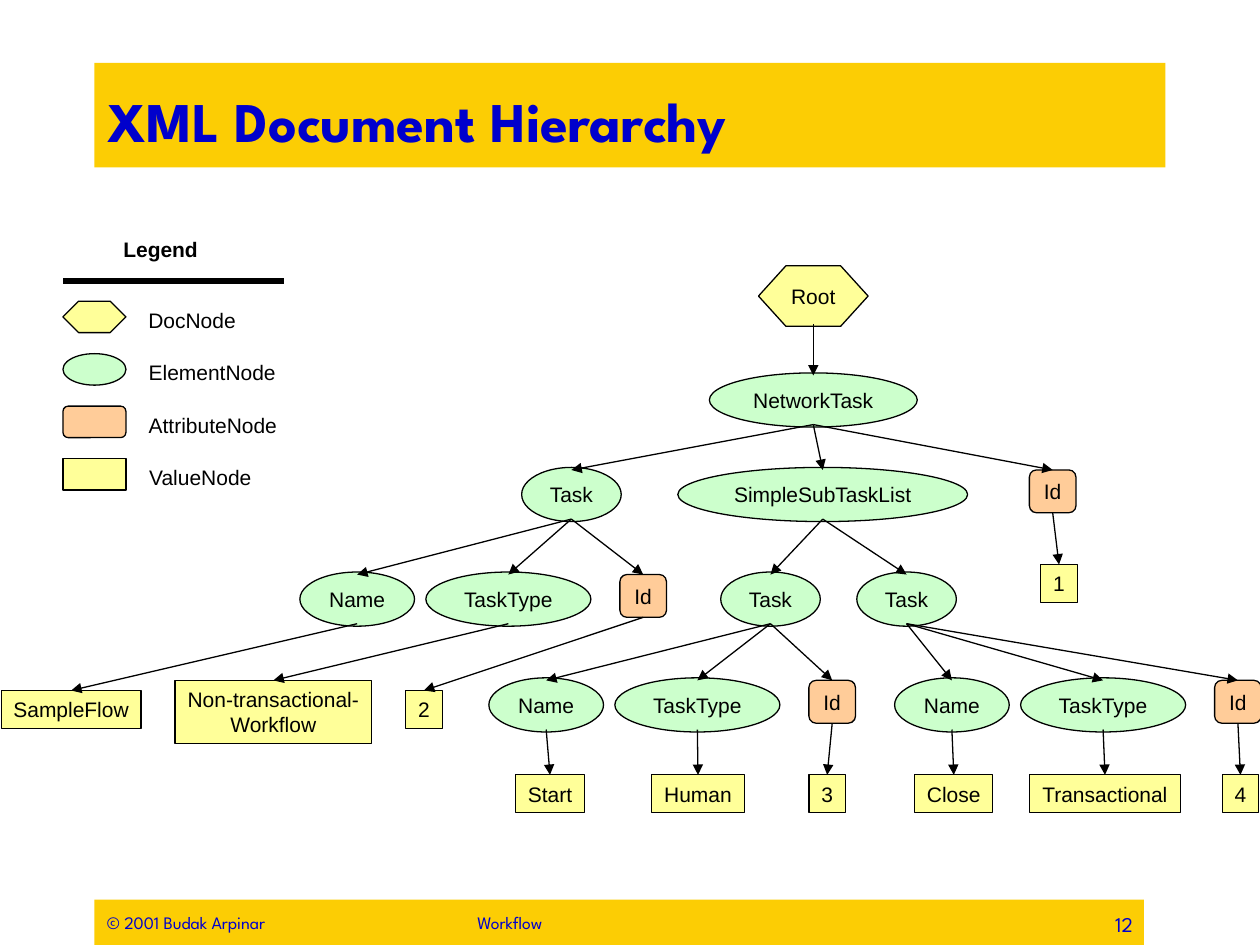
from lxml import etree
from pptx import Presentation
from pptx.dml.color import RGBColor
from pptx.enum import shapes as es, text as et
from pptx.oxml.ns import qn
from pptx.util import Inches, Pt

GOLD = RGBColor(0xFC, 0xCD, 0x04)
BLUE = RGBColor(0x00, 0x00, 0xCC)
BLACK = RGBColor(0x00, 0x00, 0x00)
YELLOW = RGBColor(0xFF, 0xFF, 0x99)
GREEN = RGBColor(0xCC, 0xFF, 0xCC)
PEACH = RGBColor(0xFF, 0xCC, 0x99)
HEAD, BODY = "League Spartan", "Arial"
LEFT, MID, RIGHT = et.PP_ALIGN.LEFT, et.PP_ALIGN.CENTER, et.PP_ALIGN.RIGHT
FORM = es.MSO_SHAPE

deck = Presentation()
deck.slide_width, deck.slide_height = Inches(10), Inches(7.5)
slide = deck.slides.add_slide(deck.slide_layouts[5])
items = slide.shapes


def write(shape, words, size=12, face=BODY, color=BLACK, align=MID,
          bold=False, wrap=False, anchor=et.MSO_ANCHOR.MIDDLE):
    frame = shape.text_frame
    frame.text = words
    frame.word_wrap = wrap
    frame.auto_size = et.MSO_AUTO_SIZE.NONE
    frame.vertical_anchor = anchor
    for para in frame.paragraphs:
        para.alignment = align
        para.font.size, para.font.name = Pt(size), face
        para.font.bold, para.font.color.rgb = bold, color


def draw(form, x, y, w, h, fill, edge=True):
    shape = items.add_shape(form, Inches(x), Inches(y), Inches(w), Inches(h))
    shape.shadow.inherit = False
    shape.fill.solid()
    shape.fill.fore_color.rgb = fill
    if edge:
        shape.line.color.rgb, shape.line.width = BLACK, Pt(0.75)
    else:
        shape.line.fill.background()
    return shape


foot = draw(FORM.RECTANGLE, 0.75, 7.14, 8.33, 0.36, GOLD, False)
write(foot, "© 2001 Budak Arpinar\tWorkflow", 10, HEAD, BLUE, LEFT, wrap=True)
props = foot.text_frame.paragraphs[0]._p.get_or_add_pPr()
stops = etree.Element(qn("a:tabLst"))
etree.SubElement(stops, qn("a:tab"), pos=str(Inches(2.94)), algn="l")
props.insert(0, stops)

draw(FORM.RECTANGLE, 0.75, 0.5, 8.5, 0.83, GOLD, False)
title = items.title
title.left, title.top = Inches(0.75), Inches(0.33)
title.width, title.height = Inches(8.5), Inches(1.25)
write(title, "XML Document Hierarchy", 32, HEAD, BLUE, LEFT, True, True)
items._spTree.append(title._element)

# kind: form, fill, height, inset of arrow ends, adjustment
KINDS = {
    "doc": (FORM.HEXAGON, YELLOW, 0.48, 0.02, 0.453),
    "elem": (FORM.OVAL, GREEN, 0.43, 0.02, None),
    "attr": (FORM.ROUNDED_RECTANGLE, PEACH, 0.34, 0, 0.167),
    "value": (FORM.RECTANGLE, YELLOW, 0.3, 0, None),
}

# key, parent, kind, label, left, top, width
nodes = [
    ("root", None, "doc", "Root", 6.02, 2.11, 0.87),
    ("net", "root", "elem", "NetworkTask", 5.63, 2.96, 1.65),
    ("task", "net", "elem", "Task", 4.14, 3.71, 0.79),
    ("list", "net", "elem", "SimpleSubTaskList", 5.38, 3.71, 2.3),
    ("id", "net", "attr", "Id", 8.17, 3.73, 0.37),
    ("one", "id", "value", "1", 8.26, 4.48, 0.29),
    ("first", "list", "elem", "Task", 5.72, 4.54, 0.79),
    ("last", "list", "elem", "Task", 6.8, 4.54, 0.79),
]
PARTS = [("elem", "Name", 0, 0, 0.91), ("elem", "TaskType", 1, 0, 1.31),
         ("attr", "Id", 2.54, 0.02, 0.37)]
TASKS = [
    ("task", 2.38, 4.54, [("SampleFlow", 0.01, 5.48, 1.11),
                          ("Non-transactional-\nWorkflow", 1.39, 5.4, 1.56),
                          ("2", 3.22, 5.48, 0.29)]),
    ("first", 3.88, 5.38, [("Start", 4.09, 6.15, 0.55),
                           ("Human", 5.17, 6.15, 0.74),
                           ("3", 6.42, 6.15, 0.29)]),
    ("last", 7.1, 5.38, [("Close", 7.26, 6.15, 0.62),
                         ("Transactional", 8.17, 6.15, 1.2),
                         ("4", 9.7, 6.15, 0.29)]),
]
for task, x, y, values in TASKS:
    for (kind, label, dx, dy, w), value in zip(PARTS, values):
        key = task + label
        nodes.append((key, task, kind, label, x + dx, y + dy, w))
        nodes.append((key + "value", key, "value", *value))

ends = {}
for key, parent, kind, label, x, y, w in nodes:
    form, fill, h, inset, adjust = KINDS[kind]
    h += 0.2 * label.count("\n")
    node = draw(form, x, y, w, h, fill)
    if adjust:
        node.adjustments[0] = adjust
    write(node, label)
    mid = x + w / 2
    ends[key] = (mid, y + inset), (mid, y + h - inset)

links = [(ends[node[1]][1], ends[node[0]][0], 0.75, True)
         for node in nodes if node[1]]
links.append(((0.5, 2.23), (2.25, 2.23), 3, False))
for start, stop, width, arrow in links:
    link = items.add_connector(es.MSO_CONNECTOR.STRAIGHT,
                               *[Inches(v) for v in start + stop])
    link.line.color.rgb, link.line.width = BLACK, Pt(width)
    if arrow:
        etree.SubElement(link.line._get_or_add_ln(), qn("a:tailEnd"),
                         type="triangle")
    etree.SubElement(link._element.spPr, qn("a:effectLst"))

names = [("DocNode", 0.89), ("ElementNode", 1.21),
         ("AttributeNode", 1.22), ("ValueNode", 1.02)]
notes = [("Legend", 0.88, 1.83, 0.79, True)]
for row, (kind, (name, w)) in enumerate(zip(KINDS, names)):
    form, fill, _, _, adjust = KINDS[kind]
    y = 2.39 + row * 1.25 / 3
    key = draw(form, 0.5, y, 0.5, 0.25, fill)
    if adjust:
        key.adjustments[0] = 0.5 if kind == "doc" else adjust
    notes.append((name, 1.08, y, w, False))
for name, x, y, w, bold in notes:
    box = items.add_textbox(Inches(x), Inches(y), Inches(w), Inches(0.3))
    write(box, name, bold=bold, anchor=et.MSO_ANCHOR.TOP)

page = items.add_textbox(Inches(7.17), Inches(7.17), Inches(1.92), Inches(0.33))
write(page, "12", 12, HEAD, BLUE, RIGHT, wrap=True)

deck.save("out.pptx")
